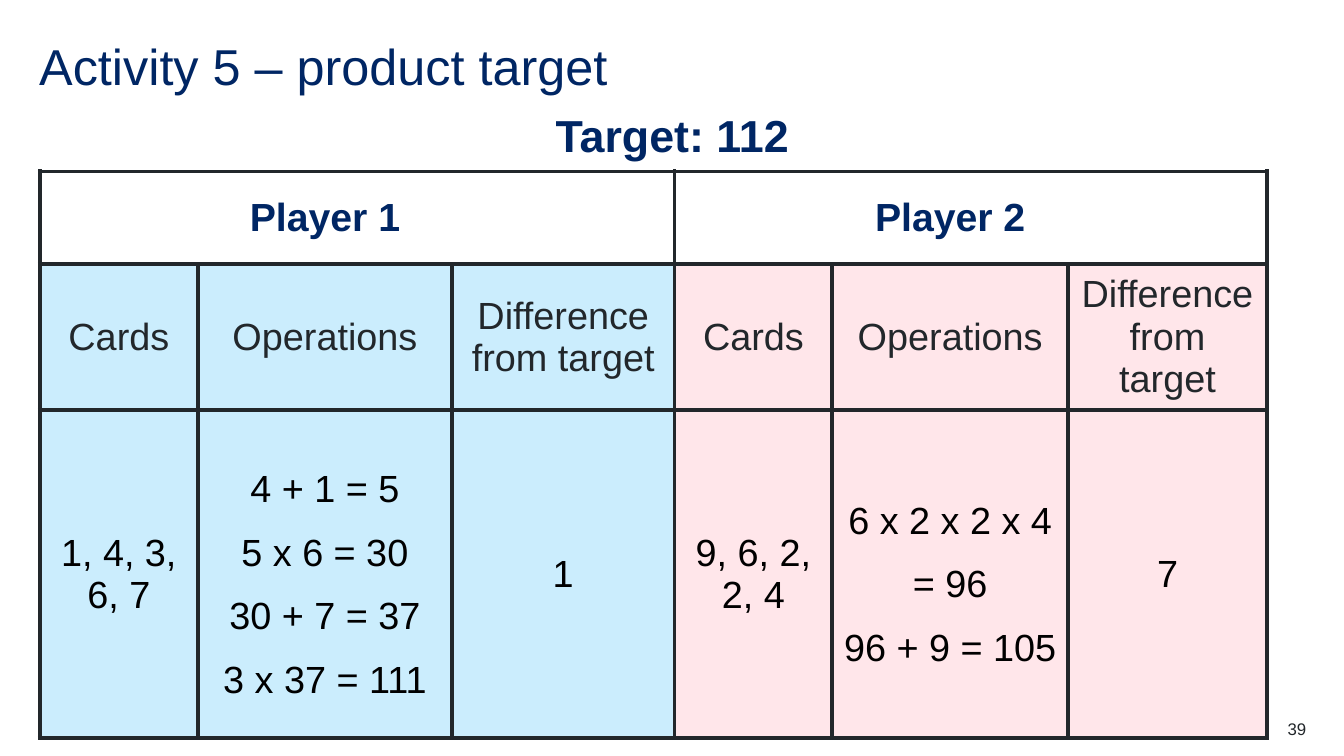
from dataclasses import dataclass

import pptx
import pptx.dml.color
import pptx.enum.text
import pptx.oxml
import pptx.oxml.ns
import pptx.util
from lxml import etree

Pt = pptx.util.Pt
RGBColor = pptx.dml.color.RGBColor
Align = pptx.enum.text.PP_ALIGN
Anchor = pptx.enum.text.MSO_ANCHOR

FONT = "Arial"
NAVY = RGBColor(0x00, 0x26, 0x64)
INK = RGBColor(0x22, 0x27, 0x2B)
BLACK = RGBColor(0x00, 0x00, 0x00)
BLUE_TINT = RGBColor(0xCB, 0xED, 0xFD)
PINK_TINT = RGBColor(0xFF, 0xE6, 0xEA)

HEADINGS = ("Cards", "Operations", "Difference from target")
ROW_HEIGHTS = (66.2, 104.4, 234)
BORDER_WIDTH = 3


@dataclass(frozen=True)
class Player:
    name: str
    tint: RGBColor
    widths: tuple[float, ...]
    cards: str
    operations: tuple[str, ...]
    difference: str


PLAYERS = (
    Player("Player 1", BLUE_TINT, (113, 181.4, 159.1), "1, 4, 3, 6, 7",
           ("4 + 1 = 5", "5 x 6 = 30", "30 + 7 = 37", "3 x 37 = 111"), "1"),
    Player("Player 2", PINK_TINT, (112.6, 168.5, 142), "9, 6, 2, 2, 4",
           ("6 x 2 x 2 x 4 = 96", "96 + 9 = 105"), "7"),
)


def write(frame, *lines: str, size: float, color: RGBColor, bold: bool = False,
          align: Align = Align.CENTER, spacing: float = 1.0) -> None:
    """Write each line as one formatted paragraph."""
    for index, line in enumerate(lines):
        para = frame.paragraphs[0] if index == 0 else frame.add_paragraph()
        para.alignment = align
        para.line_spacing = spacing
        span = para.add_run()
        span.text = line
        span.font.name = FONT
        span.font.size = Pt(size)
        span.font.bold = bold
        span.font.color.rgb = color


def clear_margins(frame) -> None:
    frame.margin_left = frame.margin_right = Pt(0)
    frame.margin_top = frame.margin_bottom = Pt(0)


def add_box(page, left: float, top: float, width: float, height: float):
    box = page.shapes.add_textbox(Pt(left), Pt(top), Pt(width), Pt(height))
    box.text_frame.word_wrap = True
    return box.text_frame


def set_borders(cell, hidden: str = "") -> None:
    """Draw the four cell borders, except the sides named in hidden."""
    properties = cell._tc.get_or_add_tcPr()
    for index, side in enumerate("LRTB"):
        line = etree.Element(pptx.oxml.ns.qn(f"a:ln{side}"), w=str(Pt(BORDER_WIDTH)))
        if side in hidden:
            etree.SubElement(line, pptx.oxml.ns.qn("a:noFill"))
        else:
            fill = etree.SubElement(line, pptx.oxml.ns.qn("a:solidFill"))
            etree.SubElement(fill, pptx.oxml.ns.qn("a:srgbClr"), val=str(INK))
        properties.insert(index, line)


def fill_player(table, player: Player, first: int) -> None:
    """Fill the three columns of one player."""
    # Name row: three cells that look like one
    for offset, hidden in enumerate(("R", "LR", "L")):
        cell = table.cell(0, first + offset)
        cell.fill.background()
        set_borders(cell, hidden)
    name_cell = table.cell(0, first + 1)
    name_cell.vertical_anchor = Anchor.MIDDLE
    write(name_cell.text_frame, player.name, size=28, color=NAVY, bold=True)

    # Heading and result rows
    results = ((player.cards,), player.operations, (player.difference,))
    for offset, (heading, result) in enumerate(zip(HEADINGS, results)):
        table.columns[first + offset].width = Pt(player.widths[offset])
        spacing = 1.5 if result is player.operations else 1.0
        for row, lines, color, gap in ((1, (heading,), INK, 1.0),
                                       (2, result, BLACK, spacing)):
            cell = table.cell(row, first + offset)
            cell.vertical_anchor = Anchor.MIDDLE
            cell.fill.solid()
            cell.fill.fore_color.rgb = player.tint
            set_borders(cell)
            write(cell.text_frame, *lines, size=27, color=color, spacing=gap)


def main() -> None:
    deck = pptx.Presentation()
    deck.slide_width, deck.slide_height = Pt(960), Pt(540)
    page = deck.slides.add_slide(deck.slide_layouts[5])

    # Title
    title = page.shapes.title
    title.left, title.top, title.width, title.height = Pt(28), Pt(28), Pt(816.5), Pt(43.2)
    frame = title.text_frame
    frame.auto_size = pptx.enum.text.MSO_AUTO_SIZE.NONE
    frame.vertical_anchor = Anchor.MIDDLE
    clear_margins(frame)
    write(frame, "Activity 5 – product target", size=36, color=NAVY,
          align=Align.LEFT, spacing=0.9)

    # Target
    write(add_box(page, 334.8, 73.4, 290.9, 46), "Target: 112",
          size=32, color=NAVY, bold=True)

    # Score table
    columns = len(PLAYERS) * len(HEADINGS)
    width = sum(sum(player.widths) for player in PLAYERS)
    table = page.shapes.add_table(len(ROW_HEIGHTS), columns, Pt(28.4), Pt(122.4),
                                  Pt(width), Pt(sum(ROW_HEIGHTS))).table
    table.first_row = table.horz_banding = False
    for row, height in zip(table.rows, ROW_HEIGHTS):
        row.height = Pt(height)
    for index, player in enumerate(PLAYERS):
        fill_player(table, player, index * len(HEADINGS))

    # Page number
    frame = add_box(page, 876.2, 513.4, 56.9, 14.4)
    clear_margins(frame)
    write(frame, "39", size=12, color=INK, align=Align.RIGHT)

    deck.save("out.pptx")


if __name__ == "__main__":
    main()
